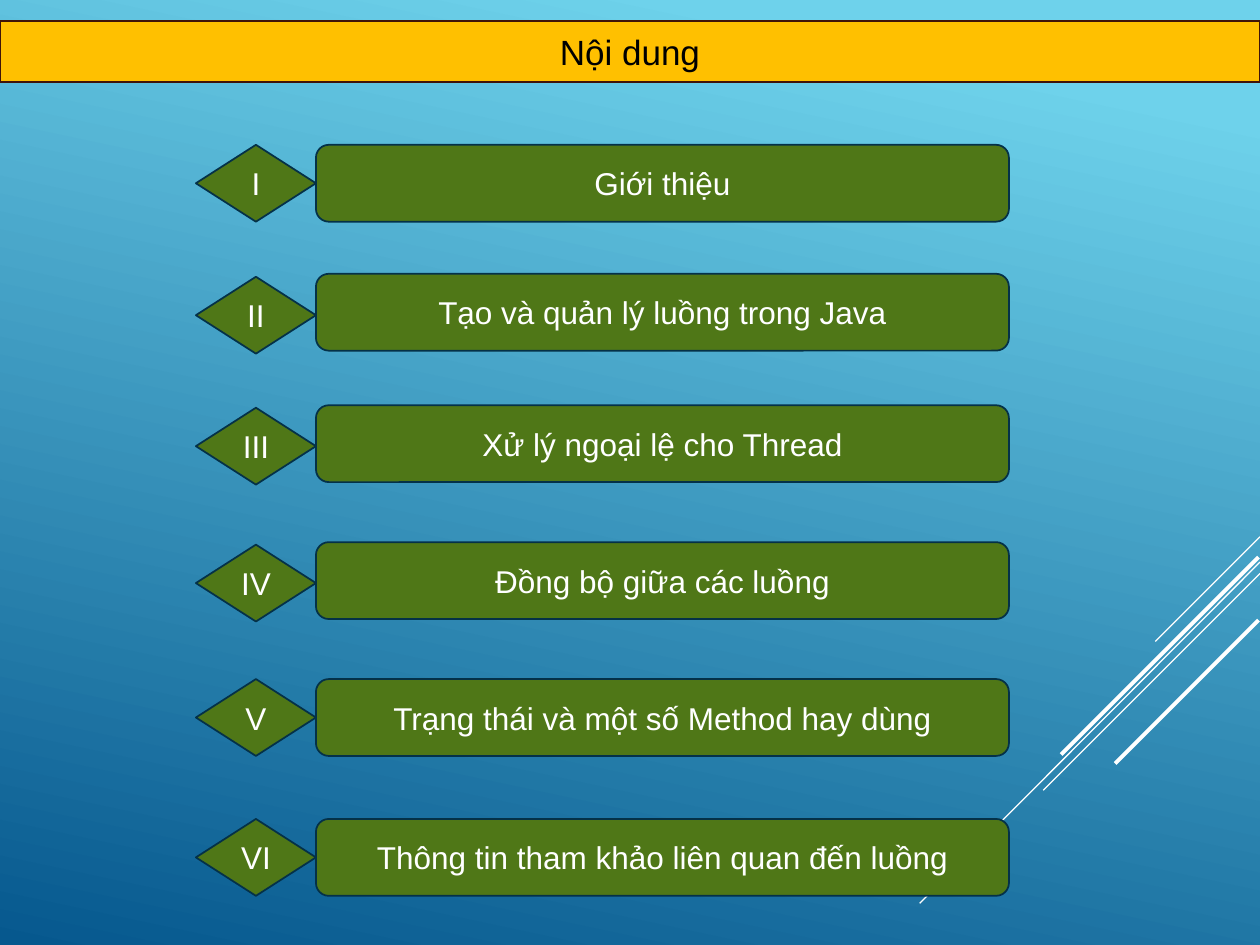
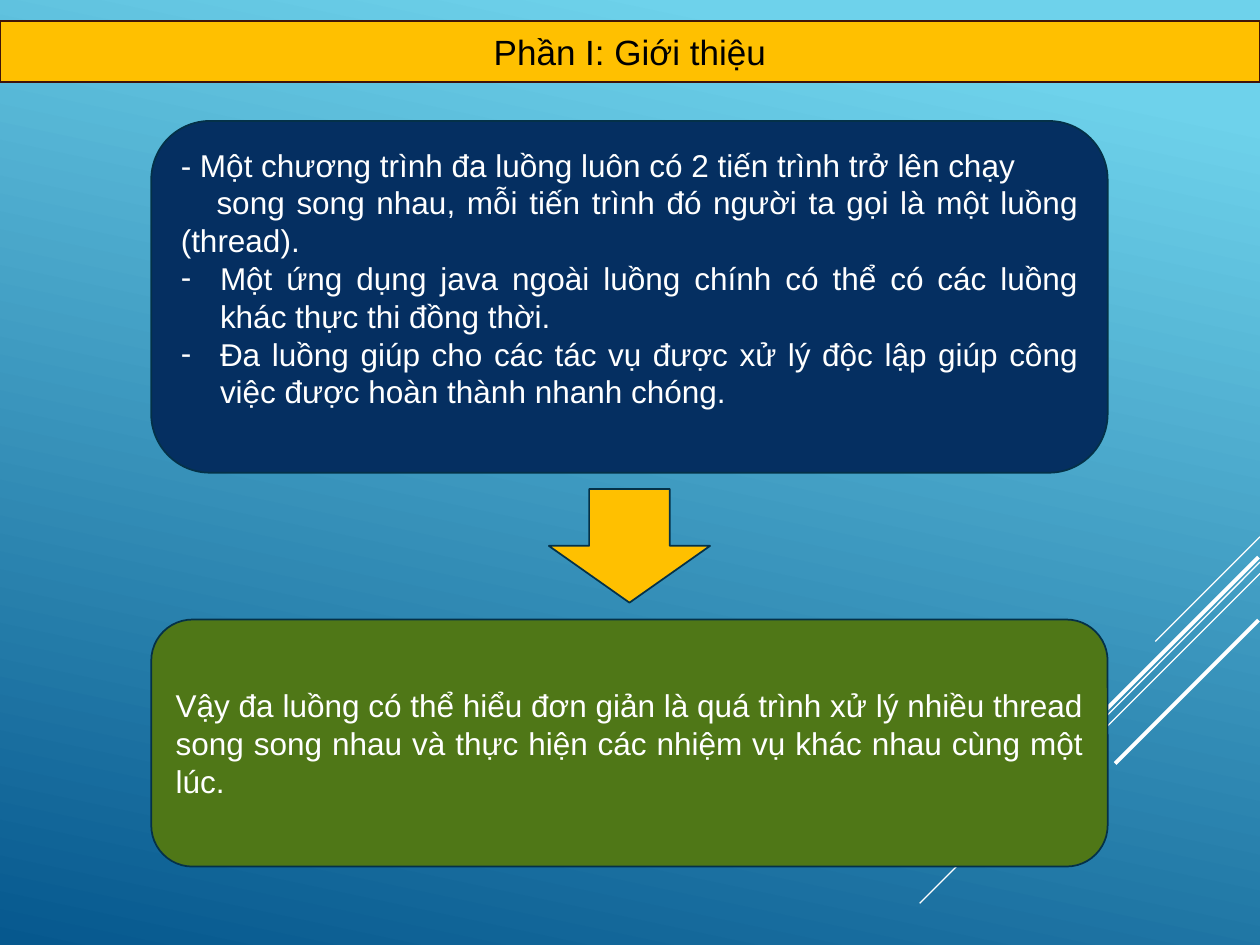
from lxml import etree
from pptx import Presentation
from pptx.dml.color import RGBColor
from pptx.enum import shapes, text
from pptx.oxml.ns import qn
from pptx.util import Cm, Pt

COLORS = {
    "sky": "6ED2EB", "deep": "06588E", "band": "FFC000", "band_edge": "401408",
    "green": "4F7717", "navy": "052F61", "edge": "043148",
    "white": "FFFFFF", "black": "000000",
}
FONT = "Arial"
SLIDE_W, SLIDE_H = 25.4, 19.05
TITLE_BOX = (0, 0.43, SLIDE_W, 1.22)

# Diagonal accents: x1, y1, x2, y2 in cm, then width in points
ACCENTS = [
    (25.4, 10.82, 23.29, 12.93, 0.75),
    (25.4, 11.33, 18.54, 18.21, 0.75),
    (25.4, 11.56, 21.03, 15.93, 0.75),
    (25.37, 11.23, 21.39, 15.21, 2.25),
    (25.37, 12.5, 22.48, 15.39, 2.25),
]

# Numeral, topic, top of the bar, drop of the diamond below that top
TOPICS = [
    ("I", "Giới thiệu", 2.92, 0),
    ("II", "Tạo và quản lý luồng trong Java", 5.52, 0.06),
    ("III", "Xử lý ngoại lệ cho Thread", 8.17, 0.05),
    ("IV", "Đồng bộ giữa các luồng", 10.93, 0.05),
    ("V", "Trạng thái và một số Method hay dùng", 13.69, 0),
    ("VI", "Thông tin tham khảo liên quan đến luồng", 16.51, 0),
]

# Text, left margin, first-line indent, bulleted
INTRO = [
    ("- Một chương trình đa luồng luôn có 2 tiến trình trở lên chạy", 0, 0, False),
    ("song song nhau, mỗi tiến trình đó người ta gọi là một luồng (thread).",
     0, 0.72, False),
    ("Một ứng dụng java ngoài luồng chính có thể có các luồng khác thực thi "
     "đồng thời.", 0.79, -0.79, True),
    ("Đa luồng giúp cho các tác vụ được xử lý độc lập giúp công việc được "
     "hoàn thành nhanh chóng.", 0.79, -0.79, True),
]
SUMMARY = [
    ("Vậy đa luồng có thể hiểu đơn giản là quá trình xử lý nhiều thread song "
     "song nhau và thực hiện các nhiệm vụ khác nhau cùng một lúc.", 0, 0, False),
]


def rgb(name):
    return RGBColor.from_string(COLORS[name])


def paint(sp, fill, edge="edge"):
    sp.fill.solid()
    sp.fill.fore_color.rgb = rgb(fill)
    sp.line.color.rgb = rgb(edge)
    sp.line.width = Pt(1)


def add_run(p, words, size=18, color="white"):
    r = p.add_run()
    r.text = words
    r.font.name, r.font.size = FONT, Pt(size)
    r.font.color.rgb = rgb(color)


def add_block(s, kind, box, fill):
    sp = s.shapes.add_shape(kind, *map(Cm, box))
    sp.shadow.inherit = False
    paint(sp, fill)
    sp.text_frame.word_wrap = True
    sp.text_frame.vertical_anchor = text.MSO_ANCHOR.MIDDLE
    return sp


def add_label(s, kind, box, words):
    p = add_block(s, kind, box, "green").text_frame.paragraphs[0]
    p.alignment = text.PP_ALIGN.CENTER
    add_run(p, words)


def add_panel(s, box, fill, items, bottom_inset=0.13):
    """Rounded panel of justified paragraphs."""
    tf = add_block(s, shapes.MSO_SHAPE.ROUNDED_RECTANGLE, box, fill).text_frame
    tf.margin_bottom = Cm(bottom_inset)
    for i, (words, left, indent, bulleted) in enumerate(items):
        p = tf.add_paragraph() if i else tf.paragraphs[0]
        p.alignment = text.PP_ALIGN.JUSTIFY if indent or i or len(items) == 1 \
            else text.PP_ALIGN.LEFT
        pPr = p._p.get_or_add_pPr()
        pPr.set("marL", str(Cm(left)))
        pPr.set("indent", str(Cm(indent)))
        if bulleted:
            etree.SubElement(pPr, qn("a:buFont")).set("typeface", FONT)
            etree.SubElement(pPr, qn("a:buChar")).set("char", "-")
        add_run(p, words)


def set_background(prs):
    fill = prs.slide_master.background.fill
    fill.gradient()
    fill.gradient_angle = 258
    for stop, name, position in zip(fill.gradient_stops, ("sky", "deep"), (0.1, 1)):
        stop.color.rgb = rgb(name)
        stop.position = position


def add_accents(s):
    for *ends, width in ACCENTS:
        line = s.shapes.add_connector(shapes.MSO_CONNECTOR.STRAIGHT, *map(Cm, ends))
        line.line.color.rgb = rgb("white")
        line.line.width = Pt(width)
        etree.SubElement(line._element.spPr, qn("a:effectLst"))


def new_slide(prs, heading):
    """Slide with the title band and the diagonal accents."""
    s = prs.slides.add_slide(prs.slide_layouts[5])
    title = s.shapes.title
    title.left, title.top, title.width, title.height = map(Cm, TITLE_BOX)
    paint(title, "band", "band_edge")
    tf = title.text_frame
    tf.auto_size = text.MSO_AUTO_SIZE.NONE
    tf.vertical_anchor = text.MSO_ANCHOR.MIDDLE
    p = tf.paragraphs[0]
    p.alignment = text.PP_ALIGN.CENTER
    add_run(p, heading, 20, "black")
    add_accents(s)
    return s


def contents_slide(prs, left=3.95, width=16.39, height=1.55, diamond_w=2.42):
    s = new_slide(prs, "Nội dung")
    for numeral, topic, top, drop in TOPICS:
        add_label(s, shapes.MSO_SHAPE.ROUNDED_RECTANGLE,
                  (left + diamond_w, top, width - diamond_w, height), topic)
        add_label(s, shapes.MSO_SHAPE.DIAMOND,
                  (left, top + drop, diamond_w, height), numeral)


def intro_slide(prs, left=3.05, top=2.44, width=19.28):
    s = new_slide(prs, "Phần I: Giới thiệu")
    add_panel(s, (left, top, width, 7.09), "navy", INTRO, bottom_inset=0.89)
    add_panel(s, (left, top + 10.05, width, 4.98), "green", SUMMARY)
    arrow_w = 3.25
    add_block(s, shapes.MSO_SHAPE.DOWN_ARROW,
              (left + (width - arrow_w) / 2, top + 7.42, arrow_w, 2.29), "band")


def main():
    prs = Presentation()
    prs.slide_width, prs.slide_height = Cm(SLIDE_W), Cm(SLIDE_H)
    set_background(prs)
    contents_slide(prs)
    intro_slide(prs)
    prs.save("out.pptx")


if __name__ == "__main__":
    main()
